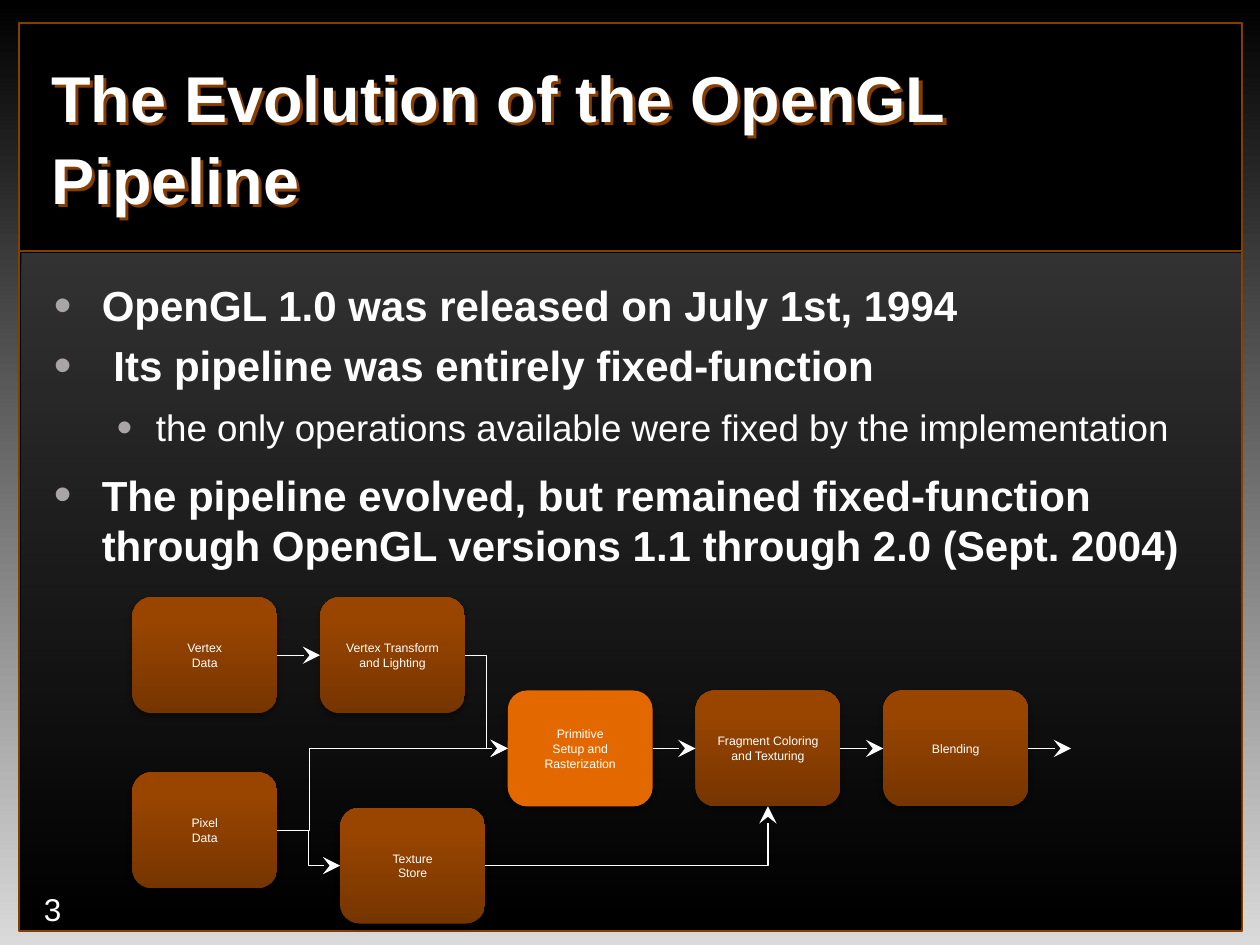
import pptx
import pptx.util
from pptx.dml.color import RGBColor
from pptx.enum.shapes import MSO_CONNECTOR, MSO_SHAPE
from pptx.enum.text import MSO_ANCHOR, PP_ALIGN
from pptx.oxml.ns import qn
from pptx.util import Inches
from lxml import etree

WHITE = RGBColor(0xFF, 0xFF, 0xFF)
BLACK = RGBColor(0x00, 0x00, 0x00)
SILVER = RGBColor(0xDA, 0xDA, 0xDA)
GRAY = RGBColor(0x7E, 0x7E, 0x7E)
BULLET = RGBColor(0xA9, 0xA5, 0xA5)
RUST = RGBColor(0x86, 0x3D, 0x00)
ORANGE = RGBColor(0xE4, 0x68, 0x00)
BROWN_STOPS = [(0, RGBColor(0x76, 0x35, 0x00)), (80, RGBColor(0x99, 0x45, 0x00)),
               (100, RGBColor(0x9A, 0x45, 0x00))]
TOP, LEFT, BOTTOM, RIGHT = range(4)
BOX_WIDTH, BOX_HEIGHT = 1.15, 0.92


def child(parent, tag, **attributes):
    return etree.SubElement(parent, qn(tag), {k: str(v) for k, v in attributes.items()})


def write(paragraph, text, size, bold=False, align=PP_ALIGN.LEFT, spacing=None,
          before=0, after=0):
    """Put text in a paragraph; a line feed becomes a line break."""
    paragraph.text = text.replace("\n", "\v")
    paragraph.alignment = align
    paragraph.space_before = pptx.util.Pt(before)
    paragraph.space_after = pptx.util.Pt(after)
    if spacing:
        paragraph.line_spacing = spacing
    for run in paragraph.runs:
        run.font.name = "Arial"
        run.font.size = pptx.util.Pt(size)
        run.font.bold = bold
        run.font.color.rgb = WHITE


def add_bullet(paragraph, margin, hanging):
    properties = paragraph._p.get_or_add_pPr()
    properties.set("marL", str(Inches(margin)))
    properties.set("indent", str(-Inches(hanging)))
    child(child(properties, "a:buClr"), "a:srgbClr", val=BULLET)
    child(properties, "a:buSzPct", val=120000)
    child(properties, "a:buFont", typeface="Arial")
    child(properties, "a:buChar", char="•")


def paint_gradient(fill, owner, stops, angle, alpha=100):
    """Angle runs counter-clockwise; owner is the element that holds the fill."""
    fill.gradient()
    fill.gradient_angle = angle
    stop_list = owner.find(".//" + qn("a:gsLst"))
    for old_stop in list(stop_list):
        stop_list.remove(old_stop)
    for position, color in stops:
        stop = child(stop_list, "a:gs", pos=position * 1000)
        tone = child(stop, "a:srgbClr", val=color)
        if alpha < 100:
            child(tone, "a:alpha", val=alpha * 1000)


def cast_shadow(shape, color, alpha, blur, distance, angle):
    shape.shadow.inherit = False
    effects = shape._element.spPr.find(qn("a:effectLst"))
    shadow = child(effects, "a:outerShdw", blurRad=pptx.util.Pt(blur),
                   dist=pptx.util.Pt(distance), dir=angle * 60000, algn="ctr", rotWithShape=0)
    child(child(shadow, "a:srgbClr", val=color), "a:alpha", val=alpha * 1000)


def side_point(box, side):
    x = {LEFT: 0, RIGHT: box.width}.get(side, box.width // 2)
    y = {TOP: 0, BOTTOM: box.height}.get(side, box.height // 2)
    return box.left + x, box.top + y


class PipelineSlide:
    def __init__(self, slide):
        self.slide = slide
        self.shapes = slide.shapes

    def background(self, stops):
        fill = self.slide.background.fill
        paint_gradient(fill, self.slide._element.find(".//" + qn("p:bgPr")), stops, 270)

    def panel(self, left, top, width, height, preset=MSO_SHAPE.RECTANGLE):
        shape = self.shapes.add_shape(preset, *map(Inches, (left, top, width, height)))
        shape.shadow.inherit = False
        shape.line.fill.background()
        return shape

    def text_box(self, left, top, width, height, anchor=MSO_ANCHOR.TOP, wrap=True):
        box = self.shapes.add_textbox(*map(Inches, (left, top, width, height)))
        box.text_frame.word_wrap = wrap
        box.text_frame.vertical_anchor = anchor
        return box

    def stage(self, left, top, *lines, color=None):
        box = self.panel(left, top, BOX_WIDTH, BOX_HEIGHT, MSO_SHAPE.ROUNDED_RECTANGLE)
        if color:
            box.fill.solid()
            box.fill.fore_color.rgb = color
        else:
            paint_gradient(box.fill, box._element.spPr, BROWN_STOPS, 90)
        cast_shadow(box, BLACK, 35, 3.1, 1.8, 90)
        frame = box.text_frame
        frame.word_wrap = True
        frame.vertical_anchor = MSO_ANCHOR.MIDDLE
        for i, line in enumerate(lines):
            paragraph = frame.add_paragraph() if i else frame.paragraphs[0]
            write(paragraph, line, 7, align=PP_ALIGN.CENTER)
        return box

    def line(self, start, end, color, width, kind=MSO_CONNECTOR.STRAIGHT):
        connector = self.shapes.add_connector(kind, *start, *end)
        connector.line.color.rgb = color
        connector.line.width = pptx.util.Pt(width)
        child(connector._element.spPr, "a:effectLst")
        return connector

    def arrow(self, source, target=None, end=None, side=LEFT, bend=None, corner=False):
        """Bend is the share of the width at which an elbow turns."""
        straight = bend is None and not corner
        kind = MSO_CONNECTOR.STRAIGHT if straight else MSO_CONNECTOR.ELBOW
        arrow = self.line(side_point(source, RIGHT), end or side_point(target, side),
                          WHITE, 0.75, kind)
        arrow.begin_connect(source, RIGHT)
        if target:
            arrow.end_connect(target, side)
        properties = arrow._element.spPr
        child(properties.find(qn("a:ln")), "a:tailEnd", type="stealth", w="lg", len="lg")
        geometry = properties.find(qn("a:prstGeom"))
        if corner:
            geometry.set("prst", "bentConnector2")
        elif bend is not None:
            child(geometry.find(qn("a:avLst")), "a:gd", name="adj1",
                  fmla=f"val {round(bend * 100000)}")


def main():
    deck = pptx.Presentation()
    deck.slide_width, deck.slide_height = Inches(10), Inches(7.5)
    page = PipelineSlide(deck.slides.add_slide(deck.slide_layouts[6]))

    # Backdrop and frame
    page.background([(0, BLACK), (100, SILVER)])
    frame = page.panel(0.15, 0.18, 9.71, 7.21)
    frame.fill.solid()
    frame.fill.fore_color.rgb = BLACK
    frame.line.color.rgb = RUST
    frame.line.width = pptx.util.Pt(1.25)
    content = page.panel(0.17, 2.01, 9.68, 5.36)
    paint_gradient(content.fill, content._element.spPr, [(0, GRAY), (100, BLACK)], 270, alpha=40)
    page.line((Inches(0.15), Inches(1.99)), (Inches(9.86), Inches(1.99)), RUST, 1)

    # Slide number and title
    number = page.text_box(0.25, 7.1, 0.24, 0.23, MSO_ANCHOR.MIDDLE, wrap=False)
    write(number.text_frame.paragraphs[0], "3", 18)
    title = page.text_box(0.31, 0.32, 8.13, 1.51, MSO_ANCHOR.MIDDLE)
    write(title.text_frame.paragraphs[0], "The Evolution of the OpenGL Pipeline", 37,
          bold=True, spacing=1.05)
    cast_shadow(title, RUST, 100, 0, 2.5, 45)

    # Bullet points
    main_point = dict(size=24, bold=True, before=5.5)
    detail = dict(size=21, spacing=1.1, before=6, after=6)
    points = [
        ("OpenGL 1.0 was released on July 1st, 1994", 0, {**main_point, "before": 0}),
        (" Its pipeline was entirely fixed-function", 0, main_point),
        ("the only operations available were fixed by the implementation", 1, detail),
        ("The pipeline evolved, but remained fixed-function through OpenGL versions 1.1 "
         "through 2.0 (Sept. 2004)", 0, main_point),
    ]
    body = page.text_box(0.33, 2.17, 9.67, 4.5).text_frame
    for i, (text, level, style) in enumerate(points):
        paragraph = body.add_paragraph() if i else body.paragraphs[0]
        paragraph.level = level
        add_bullet(paragraph, *((0.38, 0.38), (0.81, 0.31))[level])
        write(paragraph, text, **style)

    # Pipeline stages, on columns with equal gaps
    columns = [1.05 + 1.49 * i for i in range(5)]
    upper, middle, lower = 4.74, 5.48, 6.13
    raster = page.stage(columns[2], middle, "Primitive", "Setup and Rasterization", color=ORANGE)
    fragment = page.stage(columns[3], middle, "Fragment Coloring and Texturing")
    blending = page.stage(columns[4], middle, "Blending")
    vertex = page.stage(columns[0], upper, "Vertex\nData")
    pixel = page.stage(columns[0], lower, "Pixel\nData")
    transform = page.stage(columns[1], upper, "Vertex Transform and Lighting")
    texture = page.stage(2.7, 6.41, "Texture\nStore")

    # Data flow
    page.arrow(vertex, transform)
    page.arrow(transform, raster, bend=0.5)
    page.arrow(pixel, raster, bend=0.14)
    page.arrow(pixel, texture, bend=0.5)
    page.arrow(texture, fragment, side=BOTTOM, corner=True)
    page.arrow(raster, fragment)
    page.arrow(fragment, blending)
    page.arrow(blending, end=(Inches(8.5), side_point(blending, RIGHT)[1]))

    deck.save("out.pptx")


if __name__ == "__main__":
    main()
